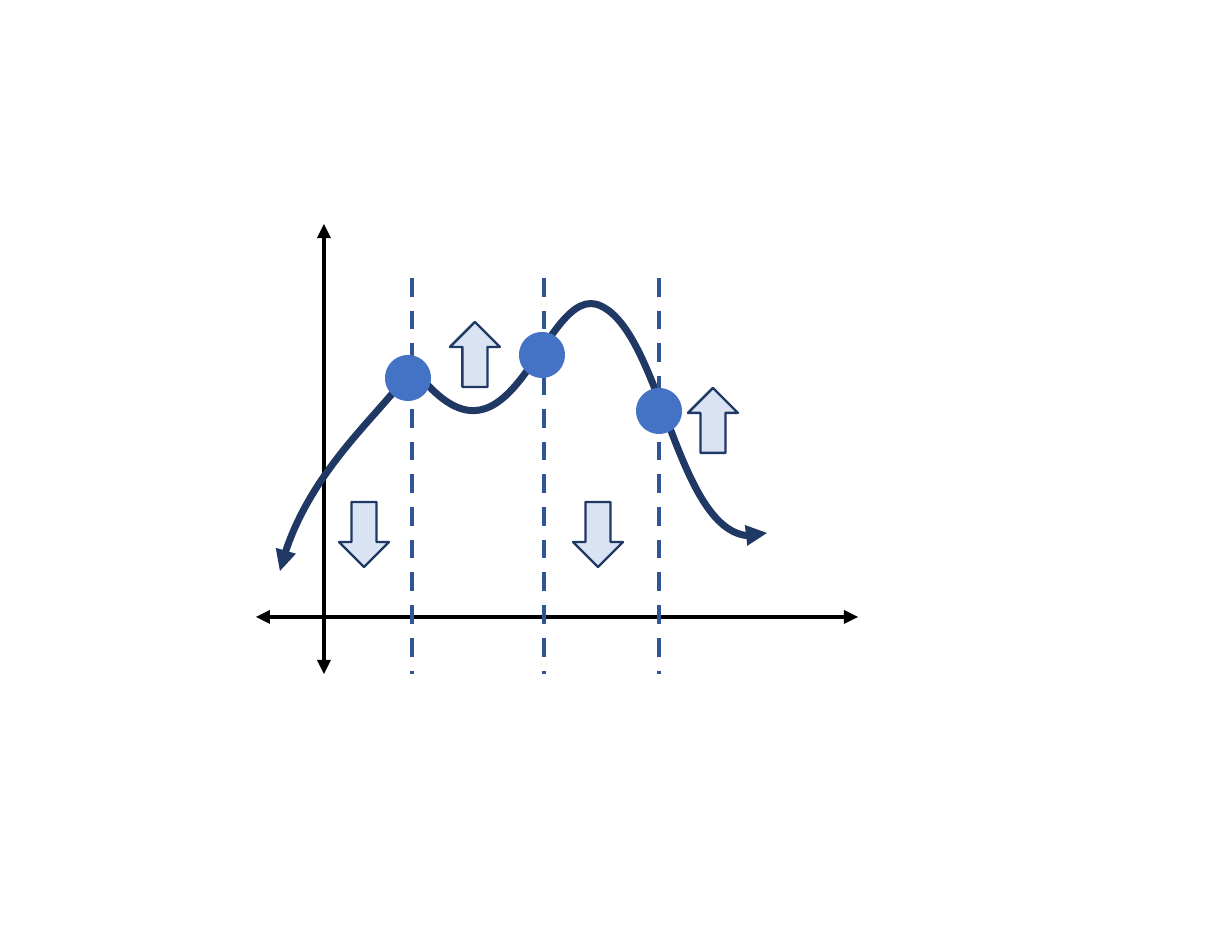
from lxml import etree
from pptx import Presentation
from pptx.dml.color import RGBColor
from pptx.enum.dml import MSO_LINE
from pptx.enum.shapes import MSO_CONNECTOR, MSO_SHAPE
from pptx.oxml.ns import qn
from pptx.util import Pt

PX = 914400 / 112
STRAIGHT = MSO_CONNECTOR.STRAIGHT
DOWN_ARROW = MSO_SHAPE.DOWN_ARROW
OVAL = MSO_SHAPE.OVAL
DASH = MSO_LINE.DASH
COLORS = {
    "axis": "000000",
    "curve": "203864",
    "divider": "2F5597",
    "arrow": "DAE3F3",
    "point": "4472C4",
}


def emu(px):
    return round(px * PX)


def color(name):
    return RGBColor.from_string(COLORS[name])


def style_line(shape, name, width, dash=None, heads=False):
    line = shape.line
    line.color.rgb = color(name)
    line.width = Pt(width)
    if dash:
        line.dash_style = dash
    if heads:
        ln = line._get_or_add_ln()
        for end in ("a:headEnd", "a:tailEnd"):
            etree.SubElement(ln, qn(end), type="triangle")


def add_line(s, x1, y1, x2, y2, name, **fmt):
    c = s.shapes.add_connector(STRAIGHT, emu(x1), emu(y1), emu(x2), emu(y2))
    style_line(c, name, 3, **fmt)
    etree.SubElement(c._element.spPr, qn("a:effectLst"))


def add_filled(s, kind, x, y, w, h, fill, line=None, flip=False):
    sp = s.shapes.add_shape(kind, emu(x), emu(y), emu(w), emu(h))
    sp.shadow.inherit = False
    sp.fill.solid()
    sp.fill.fore_color.rgb = color(fill)
    if line:
        style_line(sp, line, 1.5)
    else:
        sp.line.fill.background()
    if flip:
        sp._element.spPr.find(qn("a:xfrm")).set("flipV", "1")


def add_curve(s, x, y, w, h, start, segments):
    builder = s.shapes.build_freeform(0, 0, scale=PX)
    builder.add_line_segments([(w, 0), (w, h), (0, h)], close=False)
    sp = builder.convert_to_shape(emu(x), emu(y))
    sp.shadow.inherit = False
    sp.fill.background()
    style_line(sp, "curve", 4.5, heads=True)
    path = sp._element.spPr.find(".//" + qn("a:path"))
    for child in list(path):
        path.remove(child)
    for tag, points in [("a:moveTo", [start])] + [("a:cubicBezTo", seg) for seg in segments]:
        step = etree.SubElement(path, qn(tag))
        for px, py in points:
            etree.SubElement(step, qn("a:pt"), x=str(px), y=str(py))


def add_graph(s, x, y, w, h):
    add_line(s, x, y + 393, x + w, y + 393, "axis", heads=True)
    add_line(s, x + 68, y, x + 68, y + h, "axis", heads=True)
    add_curve(s, x + 24, y + 80, 487, 267, (487, 229), [
        [(400, 260), (381, 30), (321, 2)],
        [(263, -26), (233, 198), (133, 63)],
        [(104, 107), (24, 169), (0, 267)],
    ])
    for dx in (156, 288, 403):
        add_line(s, x + dx, y + 54, x + dx, y + h, "divider", dash=DASH)
    for dx, dy, up in ((194, 98, True), (432, 164, True), (83, 278, False), (317, 278, False)):
        add_filled(s, DOWN_ARROW, x + dx, y + dy, 50, 65, "arrow", line="curve", flip=up)
    for dx, dy in ((129, 131), (263, 108), (380, 164)):
        add_filled(s, OVAL, x + dx, y + dy, 46, 46, "point")


def main():
    prs = Presentation()
    prs.slide_width = emu(1232)
    prs.slide_height = emu(952)
    s = prs.slides.add_slide(prs.slide_layouts[6])
    add_graph(s, 256, 224, 602, 450)
    prs.save("out.pptx")


if __name__ == "__main__":
    main()
